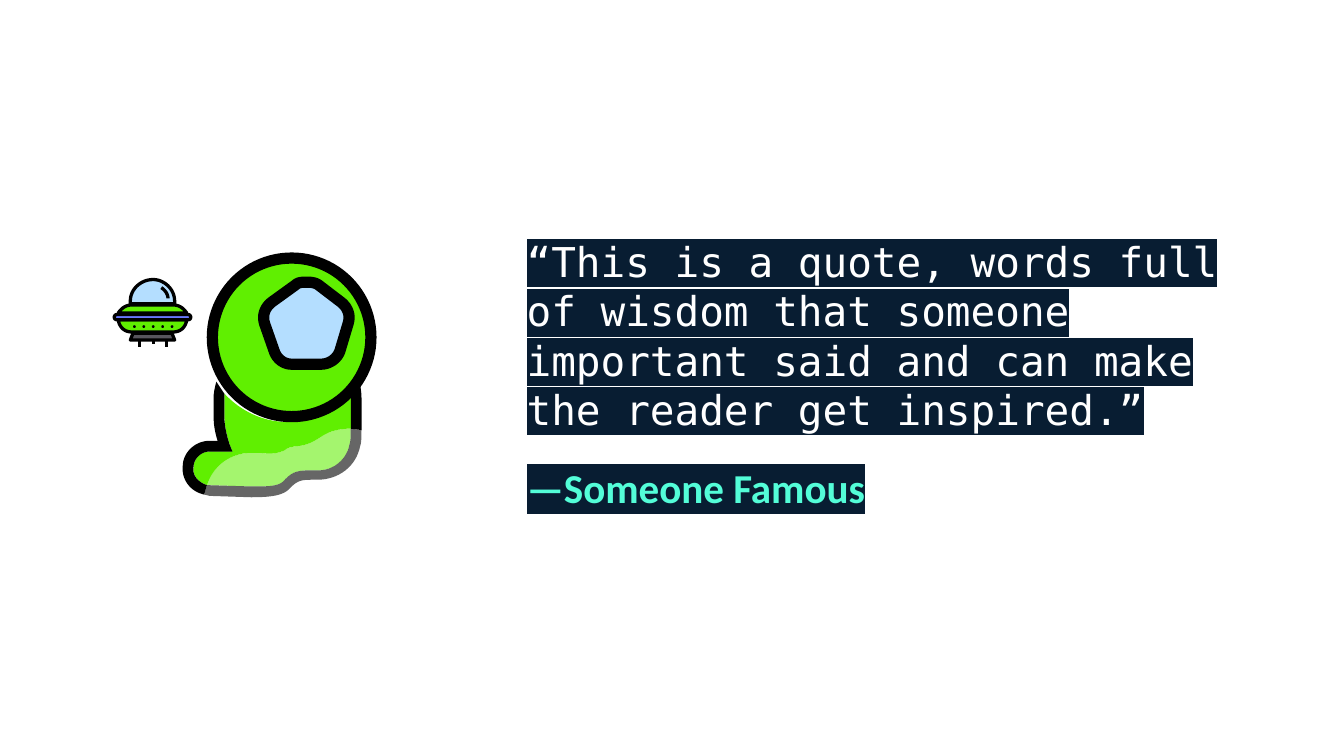
from lxml import etree
from pptx import Presentation
from pptx.dml.color import RGBColor
from pptx.enum.shapes import MSO_CONNECTOR, MSO_SHAPE
from pptx.enum.text import MSO_ANCHOR, MSO_AUTO_SIZE, PP_ALIGN
from pptx.oxml.ns import qn
from pptx.util import Inches, Pt

LINE = MSO_CONNECTOR.STRAIGHT
OVAL, ROUND = MSO_SHAPE.OVAL, MSO_SHAPE.ROUNDED_RECTANGLE
TOP, LEFT, FIXED = MSO_ANCHOR.TOP, PP_ALIGN.LEFT, MSO_AUTO_SIZE.NONE
WIDTH = 10
HEIGHT = WIDTH * 9 / 16
THIN, THICK = 1.75, 6
COLORS = {
    "navy": "081D32", "mint": "53FDD8", "white": "FFFFFF", "green": "60EF01",
    "sky": "B4DEFF", "violet": "6A79FF", "gray": "57555C", "black": "000000",
}


def color(name):
    """Return the named colour."""
    return RGBColor.from_string(COLORS[name])


def trace(start, *parts):
    """Turn lines (2 numbers) and cubic curves (6 numbers) into points."""
    points = [start]
    for part in parts:
        if len(part) == 2:
            points.append(part)
            continue
        ends = [points[-1], part[:2], part[2:4], part[4:]]
        for step in range(1, 17):
            t = step / 16
            shares = ((1 - t) ** 3, 3 * t * (1 - t) ** 2, 3 * t * t * (1 - t), t ** 3)
            points.append(tuple(sum(s * e[axis] for s, e in zip(shares, ends)) for axis in (0, 1)))
    return points


def paint(shape, fill, edge=0, alpha=100):
    """Set fill, opacity and black outline of a shape."""
    shape.shadow.inherit = False
    if fill:
        shape.fill.solid()
        shape.fill.fore_color.rgb = color(fill)
        if alpha < 100:
            tone = shape.element.spPr.find(qn("a:solidFill"))[0]
            etree.SubElement(tone, qn("a:alpha"), val=str(alpha * 1000))
    else:
        shape.fill.background()
    if edge:
        shape.line.color.rgb = color("black")
        shape.line.width = Pt(edge)
    else:
        shape.line.fill.background()


def draw(group, points, fill, edge=0, alpha=100, close=True):
    """Add a freeform through the points."""
    spots = [(Inches(x), Inches(y)) for x, y in points]
    pen = group.shapes.build_freeform(*spots[0])
    pen.add_line_segments(spots[1:], close=close)
    paint(pen.convert_to_shape(), fill, edge, alpha)


def preset(group, kind, box, fill, edge=0):
    """Add a preset shape."""
    shape = group.shapes.add_shape(kind, *map(Inches, box))
    paint(shape, fill, edge)
    return shape


def leg(group, x, top, foot):
    """Add an upright line."""
    line = group.shapes.add_connector(LINE, *map(Inches, (x, top, x, foot)))
    line.line.color.rgb = color("black")
    line.line.width = Pt(THIN)
    etree.SubElement(line.element.spPr, qn("a:effectLst"))


def write(shape, box, text, font, tint, bold=False):
    """Place a box of highlighted text."""
    shape.left, shape.top, shape.width, shape.height = map(Inches, box)
    frame = shape.text_frame
    frame.text = text
    frame.word_wrap = True
    frame.auto_size = FIXED
    frame.vertical_anchor = TOP
    frame.margin_left = frame.margin_right = Inches(0.1)
    frame.margin_top = frame.margin_bottom = Inches(0.1)
    para = frame.paragraphs[0]
    para.alignment = LEFT
    para.line_spacing = 1.0
    run = para.runs[0]
    run.font.size, run.font.bold = Pt(22), bold
    run.font.color.rgb = color(tint)
    run.font.name = font
    mark = etree.Element(qn("a:highlight"))
    etree.SubElement(mark, qn("a:srgbClr"), val=COLORS["navy"])
    style = next(shape.element.iter(qn("a:rPr")))
    style.find(qn("a:solidFill")).addnext(mark)


def saucer(slide):
    """Draw the flying saucer."""
    group = slide.shapes.add_group_shape()
    mid = 1.14
    for shift, foot in ((-0.1, 2.58), (0, 2.56), (0.1, 2.58)):
        leg(group, mid + shift, 2.52, foot)
    draw(group, [(0.99, 2.48), (1.28, 2.48), (1.3, 2.53), (0.97, 2.53)], "gray", THIN)
    draw(group, trace((0.97, 2.26), (0.97, 2.24), (0.97, 2.15, 1.05, 2.08, mid, 2.08),
                      (1.22, 2.08, 1.3, 2.15, 1.3, 2.24), (1.3, 2.26)), "sky", THIN)
    draw(group, trace((1.2, 2.14), (1.23, 2.16, 1.25, 2.19, 1.25, 2.22)),
         None, THIN, close=False)
    draw(group, trace((0.98, 2.27), (1.29, 2.27), (1.34, 2.27, 1.37, 2.3, 1.39, 2.33),
                      (0.88, 2.33), (0.9, 2.3, 0.93, 2.27, 0.98, 2.27)), "green", THIN)
    draw(group, trace((0.88, 2.38), (1.39, 2.38), (1.38, 2.44, 1.34, 2.47, 1.29, 2.47),
                      (0.98, 2.47), (0.93, 2.47, 0.89, 2.44, 0.88, 2.38)), "green", THIN)
    band = preset(group, ROUND, (0.85, 2.34, 0.57, 0.04), "violet", THIN)
    band.adjustments[0] = 0.5
    for step in range(-2, 3):
        preset(group, OVAL, (mid + 0.07 * step - 0.01, 2.42, 0.02, 0.02), "black")


def alien(slide):
    """Draw the alien with its helmet."""
    group = slide.shapes.add_group_shape()
    inner = trace((1.67, 2.93), (1.67, 3.1), (1.67, 3.17, 1.69, 3.25, 1.71, 3.31),
                  (1.73, 3.36), (1.56, 3.36), (1.5, 3.36, 1.44, 3.41, 1.44, 3.48),
                  (1.43, 3.54, 1.48, 3.59, 1.54, 3.61))
    outer = trace((1.52, 3.68), (1.42, 3.66, 1.35, 3.57, 1.36, 3.47),
                  (1.36, 3.37, 1.45, 3.28, 1.56, 3.28), (1.62, 3.28),
                  (1.6, 3.22, 1.59, 3.16, 1.59, 3.1), (1.59, 2.96),
                  (1.59, 2.92, 1.6, 2.88, 1.61, 2.84))
    wave = trace((1.54, 3.61), (1.59, 3.46, 1.72, 3.37, 1.87, 3.37),
                 (1.94, 3.37), (1.99, 3.38, 2.06, 3.38, 2.12, 3.35),
                 (2.14, 3.33, 2.16, 3.33, 2.2, 3.32), (2.27, 3.32, 2.33, 3.29, 2.39, 3.25),
                 (2.45, 3.21, 2.52, 3.19, 2.61, 3.19))
    base = trace((2.61, 3.19), (2.61, 3.25, 2.61, 3.28, 2.6, 3.31),
                 (2.58, 3.42, 2.48, 3.5, 2.37, 3.5), (2.33, 3.5),
                 (2.23, 3.5, 2.18, 3.5, 2.11, 3.58), (2.07, 3.62, 1.99, 3.62, 1.87, 3.62),
                 (1.54, 3.61))
    rim = trace((1.52, 3.68), (1.56, 3.69), (1.87, 3.7),
                (2.01, 3.7, 2.11, 3.69, 2.16, 3.63), (2.21, 3.58, 2.24, 3.57, 2.31, 3.57),
                (2.36, 3.57), (2.52, 3.57, 2.65, 3.47, 2.68, 3.32),
                (2.69, 3.29, 2.69, 3.25, 2.69, 3.2))
    neck = trace((2.61, 2.91), (2.49, 3.06, 2.32, 3.14, 2.13, 3.14),
                 (1.96, 3.14, 1.79, 3.06, 1.67, 2.93))
    draw(group, neck + inner + wave, "green")
    draw(group, inner + outer, "black")
    draw(group, trace((2.67, 2.82), (2.61, 2.91), (2.61, 3.19), (2.69, 3.2), (2.69, 2.96),
                      (2.69, 2.91, 2.68, 2.86, 2.67, 2.82)), "black")
    draw(group, wave + base, "green", alpha=57)
    draw(group, base + rim, "black", alpha=60)
    preset(group, OVAL, (1.58, 1.92, 1.18, 1.18), "green", THICK)
    draw(group, trace((2.28, 2.1), (2.25, 2.1, 2.22, 2.1, 2.2, 2.12), (2.02, 2.25),
                      (1.97, 2.29, 1.95, 2.35, 1.97, 2.41), (2.04, 2.61),
                      (2.06, 2.67, 2.11, 2.71, 2.17, 2.71), (2.39, 2.71),
                      (2.45, 2.71, 2.51, 2.67, 2.53, 2.61), (2.59, 2.41),
                      (2.61, 2.35, 2.59, 2.29, 2.54, 2.25), (2.37, 2.12),
                      (2.34, 2.1, 2.31, 2.1, 2.28, 2.1)), "sky", THICK)


def main():
    """Build the quote slide."""
    deck = Presentation()
    deck.slide_width, deck.slide_height = Inches(WIDTH), Inches(HEIGHT)
    slide = deck.slides.add_slide(deck.slide_layouts.get_by_name("Title Only"))
    write(slide.shapes.title, (3.82, 3.34, 5.35, 0.63), "—Someone Famous",
          "Calibri", "mint", bold=True)
    write(slide.shapes.add_textbox(0, 0, 0, 0), (3.82, 1.66, 5.35, 1.69),
          "“This is a quote, words full of wisdom that someone important said "
          "and can make the reader get inspired.”",
          "DejaVu Sans Mono", "white")
    saucer(slide)
    alien(slide)
    deck.save("out.pptx")


if __name__ == "__main__":
    main()
